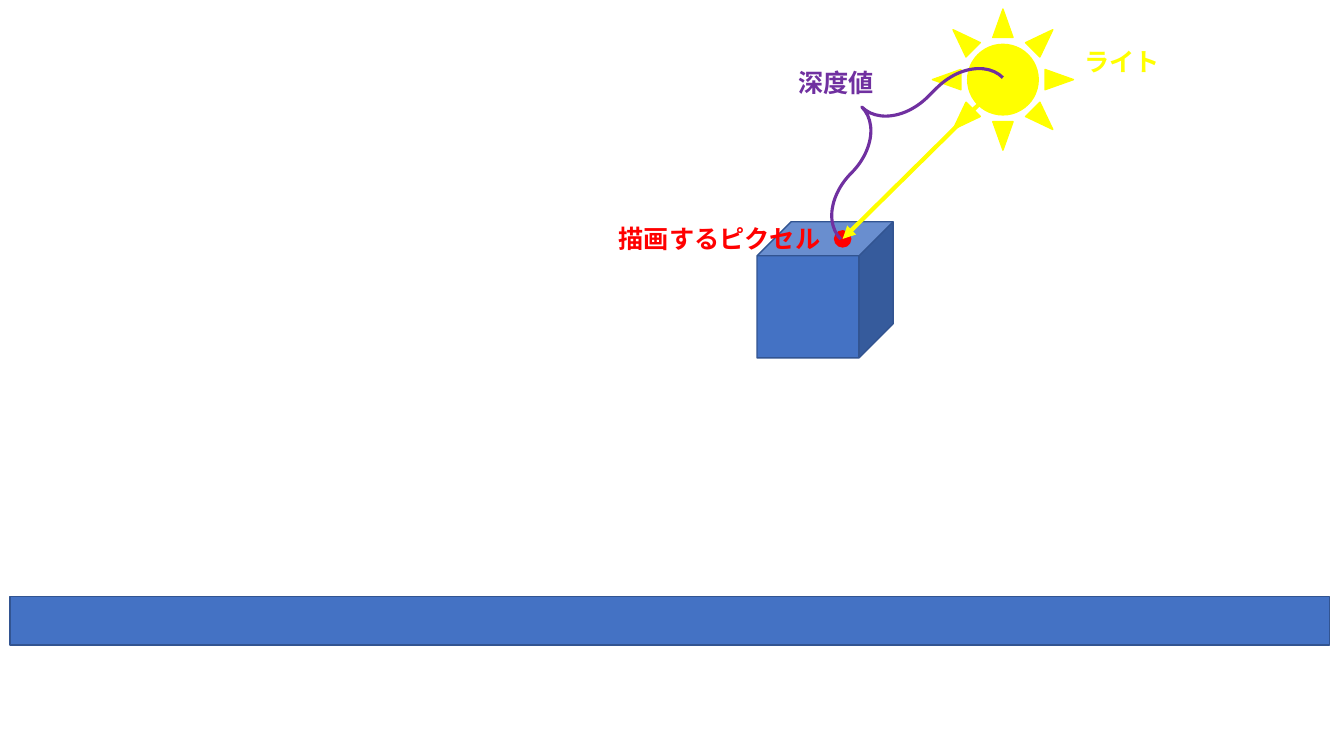
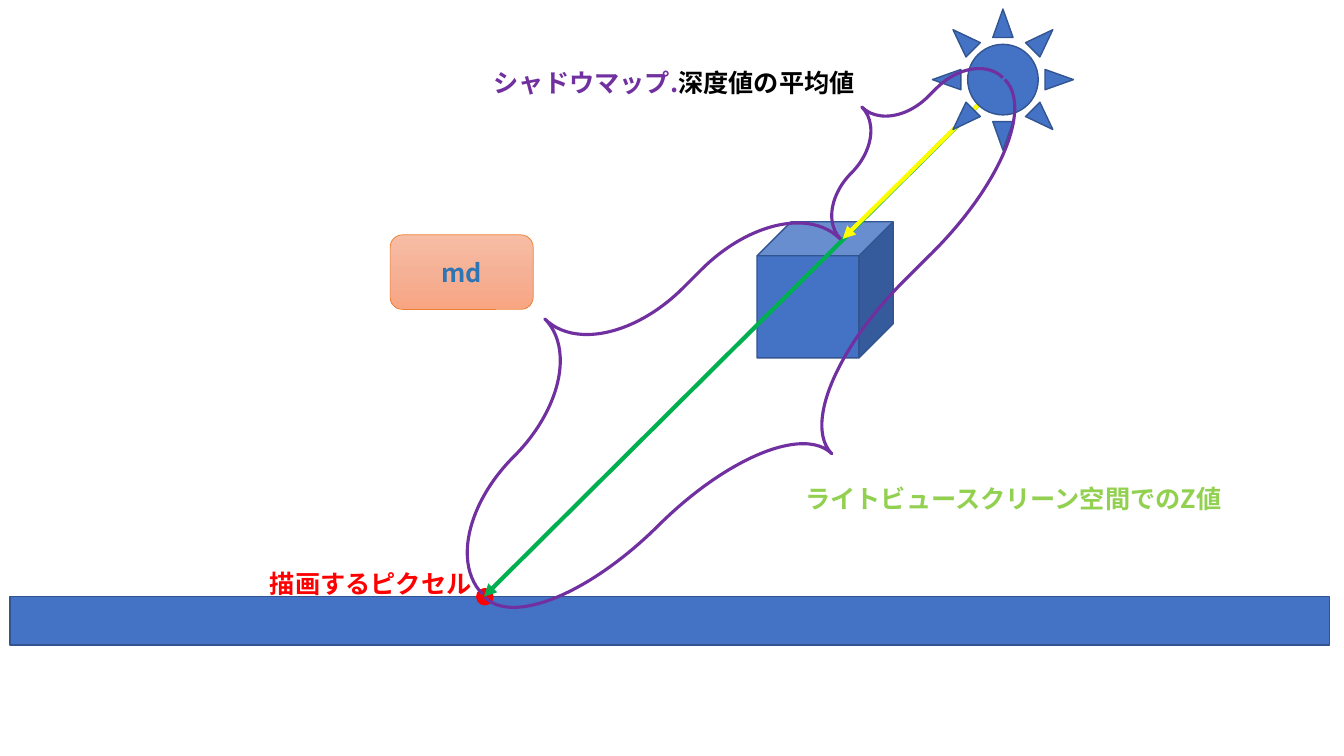
from dataclasses import dataclass
from typing import Optional

from pptx import Presentation
from pptx.dml.color import RGBColor
from pptx.enum.shapes import MSO_CONNECTOR as Link, MSO_SHAPE as Kind
from pptx.enum.text import MSO_ANCHOR as Anchor, MSO_AUTO_SIZE as Fit, PP_ALIGN as Align
from pptx.oxml import parse_xml
from pptx.oxml.ns import nsdecls, qn
from pptx.oxml.xmlchemy import OxmlElement as Node
from pptx.shapes.autoshape import Shape
from pptx.slide import Slide
from pptx.util import Emu, Inches, Pt

COLS, ROWS = 133.33, 75
CELL = Inches(0.1)

BLUE = RGBColor(0x44, 0x72, 0xC4)
NAVY = RGBColor(0x32, 0x54, 0x91)
YELLOW = RGBColor(0xFF, 0xFF, 0x00)
RED = RGBColor(0xFF, 0x00, 0x00)
GREEN = RGBColor(0x00, 0xB0, 0x50)
LIME = RGBColor(0x92, 0xD0, 0x50)
PURPLE = RGBColor(0x70, 0x30, 0xA0)
BLACK = RGBColor(0x00, 0x00, 0x00)
ORANGE = RGBColor(0xED, 0x7D, 0x31)
STEEL = RGBColor(0x2E, 0x75, 0xB6)
PEACH = ((0, "F7BDA5"), (50, "F5B196"), (100, "F8A582"))

FACE = "Noto Sans CJK JP"
FONT = {"name": FACE, "size": Pt(18), "bold": True}
BRACE = {"rotation": 45.1}
BENDS = (1.559, 0.527)


@dataclass(frozen=True)
class Box:
    col: float
    row: float
    wide: float
    high: float


@dataclass(frozen=True)
class Solid:
    kind: Kind
    box: Box
    fill: Optional[RGBColor]
    line: RGBColor
    width: float = 1


@dataclass(frozen=True)
class Curl:
    box: Box
    flip: bool


@dataclass(frozen=True)
class Ray:
    col: float
    row: float
    color: RGBColor


@dataclass(frozen=True)
class Label:
    box: Box
    runs: tuple[tuple[str, RGBColor], ...]


SUN = Box(92.5, 0.9, 14, 14)
LIGHT = (99.6, 7.9)
NEAR = Curl(Box(84.8, 1.6, 7.8, 22.7), True)
BEAM = Ray(83.6, 23.7, YELLOW)
SCENE = (
    Solid(Kind.FLOWCHART_PROCESS, Box(1, 59.2, 130.9, 4.8), BLUE, NAVY),
    Solid(Kind.CUBE, Box(75.1, 22, 13.5, 13.5), BLUE, NAVY),
)


def cells(*sizes: float) -> list[Emu]:
    return [Emu(round(size * CELL)) for size in sizes]


def place(box: Box) -> list[Emu]:
    return cells(box.col, box.row, box.wide, box.high)


def dot(col: float, row: float) -> Solid:
    return Solid(Kind.OVAL, Box(col, row, 1.6, 1.6), RED, RED)


def pixel(col: float, row: float) -> Label:
    return Label(Box(col, row, 23, 4), (("描画するピクセル", RED),))


def write(shape: Shape, runs: tuple[tuple[str, RGBColor], ...]) -> None:
    para = shape.text_frame.paragraphs[0]
    for text, color in runs:
        run = para.add_run()
        run.text = text
        for key, value in FONT.items():
            setattr(run.font, key, value)
        run.font.color.rgb = color
        east = Node("a:ea")
        east.set("typeface", FACE)
        run.font._element.find(qn("a:latin")).addnext(east)


def solid(slide: Slide, part: Solid) -> Shape:
    shape = slide.shapes.add_shape(part.kind, *place(part.box))
    shape.shadow.inherit = False
    if part.fill is None:
        shape.fill.background()
    else:
        shape.fill.solid()
        shape.fill.fore_color.rgb = part.fill
    shape.line.color.rgb = part.line
    shape.line.width = Pt(part.width)
    return shape


def curl(slide: Slide, part: Curl) -> None:
    shape = solid(slide, Solid(Kind.RIGHT_BRACE, part.box, None, PURPLE, 2.25))
    for key, value in BRACE.items():
        setattr(shape, key, value)
    for slot, bend in enumerate(BENDS):
        shape.adjustments[slot] = bend
    if part.flip:
        shape._element.spPr.xfrm.set("flipH", "1")


def ray(slide: Slide, part: Ray) -> None:
    line = slide.shapes.add_connector(
        Link.STRAIGHT, *cells(*LIGHT, part.col, part.row))
    line.line.color.rgb = part.color
    line.line.width = Pt(3)
    tip = Node("a:tailEnd")
    tip.set("type", "triangle")
    line.line._get_or_add_ln().append(tip)
    line._element.spPr.append(Node("a:effectLst"))


def label(slide: Slide, part: Label) -> None:
    box = slide.shapes.add_textbox(*place(part.box))
    box.text_frame.word_wrap = True
    box.text_frame.auto_size = Fit.SHAPE_TO_FIT_TEXT
    write(box, part.runs)


def badge(slide: Slide, part: Label) -> None:
    shape = solid(slide, Solid(Kind.ROUNDED_RECTANGLE, part.box, None, ORANGE, 0.5))
    stops = "".join(
        f'<a:gs pos="{share * 1000}"><a:srgbClr val="{tint}"/></a:gs>'
        for share, tint in PEACH)
    blend = parse_xml(
        f'<a:gradFill {nsdecls("a")} rotWithShape="1"><a:gsLst>{stops}</a:gsLst>'
        '<a:lin ang="5400000" scaled="0"/></a:gradFill>')
    props = shape._element.spPr
    props.replace(props.find(qn("a:noFill")), blend)
    shape.text_frame.vertical_anchor = Anchor.MIDDLE
    shape.text_frame.paragraphs[0].alignment = Align.CENTER
    write(shape, part.runs)


DRAW = {Solid: solid, Curl: curl, Ray: ray, Label: label}

DEPTH = (
    Solid(Kind.SUN, SUN, YELLOW, YELLOW),
    dot(82.8, 22.9),
    BEAM,
    pixel(60.4, 21.7),
    NEAR,
    Label(Box(78.2, 6.2, 11.2, 4), (("深度値", PURPLE),)),
    Label(Box(106.6, 4.1, 12, 4), (("ライト", YELLOW),)),
)
SHADOW = (
    pixel(25.8, 55.9),
    Label(Box(48, 6.2, 41.5, 4),
          (("シャドウマップ.", PURPLE), ("深度値の平均値", BLACK))),
    dot(47.3, 58.4),
    Ray(48, 59.2, GREEN),
    BEAM,
    Solid(Kind.SUN, SUN, BLUE, NAVY),
    Curl(Box(52.8, 11, 15, 50), True),
    Curl(Box(71.8, 2.2, 14.2, 72.8), False),
    NEAR,
    Label(Box(78.9, 47.5, 44.4, 4), (("ライトビュースクリーン空間でのZ値", LIME),)),
)
MEAN = Label(Box(38.7, 23.3, 14.2, 7.4), (("md", STEEL),))


def main() -> None:
    deck = Presentation()
    deck.slide_width, deck.slide_height = cells(COLS, ROWS)
    for parts in (DEPTH, SHADOW):
        slide = deck.slides.add_slide(deck.slide_layouts[6])
        for part in SCENE + parts:
            DRAW[type(part)](slide, part)
    badge(slide, MEAN)
    deck.save("out.pptx")


if __name__ == "__main__":
    main()
